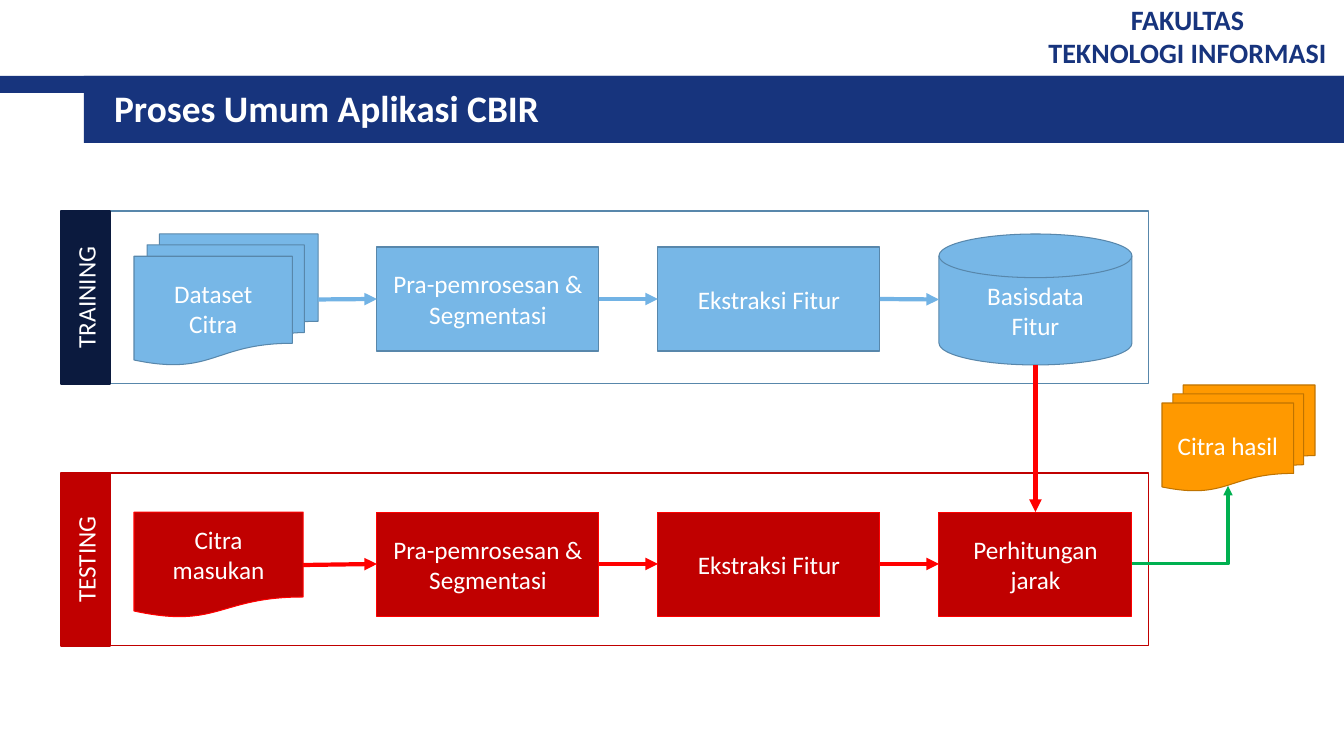
from lxml import etree
from pptx import Presentation
from pptx.dml.color import RGBColor
from pptx.enum.shapes import MSO_CONNECTOR, MSO_SHAPE
from pptx.enum.text import MSO_ANCHOR, PP_ALIGN
from pptx.oxml.ns import qn
from pptx.util import Emu, Pt

RECTANGLE = MSO_SHAPE.RECTANGLE
PROCESS = MSO_SHAPE.FLOWCHART_PROCESS
DOCUMENT = MSO_SHAPE.FLOWCHART_DOCUMENT
MULTIDOCUMENT = MSO_SHAPE.FLOWCHART_MULTIDOCUMENT
DISK = MSO_SHAPE.FLOWCHART_MAGNETIC_DISK
STRAIGHT = MSO_CONNECTOR.STRAIGHT
ELBOW = MSO_CONNECTOR.ELBOW
CENTER, LEFT = PP_ALIGN.CENTER, PP_ALIGN.LEFT
MIDDLE, BOTTOM = MSO_ANCHOR.MIDDLE, MSO_ANCHOR.BOTTOM
TOP_SIDE, LEFT_SIDE, BOTTOM_SIDE, RIGHT_SIDE = range(4)

FONT = "Calibri"
NAVY, WHITE = "17347D", "FFFFFF"
DARK_NAVY, SKY, STEEL, ARROW_BLUE = "0B1A3E", "77B7E7", "5887AB", "72B3E5"
CRIMSON, RED, GREEN = "C00000", "FF0000", "00B050"
ORANGE, BROWN = "FF9900", "BF7300"
STEP_LEFT, STEP_PITCH, STEP_WIDTH, STEP_HEIGHT = 377, 281, 222, 104
LAST_WIDTH = 193


def px(length):
    return Emu(round(length * 914400 / 100.8))


def color(value):
    return RGBColor.from_string(value)


def write(box, text, size=18, ink=WHITE, bold=False, align=CENTER,
          anchor=MIDDLE, inset=None):
    frame = box.text_frame
    frame.word_wrap = True
    frame.vertical_anchor = anchor
    if inset is not None:
        frame.margin_left = frame.margin_right = px(inset)
        frame.margin_top = frame.margin_bottom = px(inset)
    for index, line in enumerate(text.split("\n")):
        para = frame.add_paragraph() if index else frame.paragraphs[0]
        para.alignment = align
        span = para.add_run()
        span.text = line
        span.font.name = FONT
        span.font.size = Pt(size)
        span.font.bold = bold
        span.font.color.rgb = color(ink)


def add_box(page, kind, place, fill=None, outline=None, weight=0.75, text=None):
    box = page.shapes.add_shape(kind, *map(px, place))
    box.shadow.inherit = False
    if fill:
        box.fill.solid()
        box.fill.fore_color.rgb = color(fill)
    else:
        box.fill.background()
    if outline:
        box.line.color.rgb = color(outline)
        box.line.width = Pt(weight)
    else:
        box.line.fill.background()
    if text:
        write(box, text)
    return box


def side_point(box, side):
    middle_x = box.left + box.width // 2
    middle_y = box.top + box.height // 2
    return {
        TOP_SIDE: (middle_x, box.top),
        LEFT_SIDE: (box.left, middle_y),
        BOTTOM_SIDE: (middle_x, box.top + box.height),
        RIGHT_SIDE: (box.left + box.width, middle_y),
    }[side]


def add_arrow(page, kind, start, end, ink, weight):
    arrow = page.shapes.add_connector(kind, *start, *end)
    arrow.line.color.rgb = color(ink)
    arrow.line.width = Pt(weight)
    etree.SubElement(arrow.line._get_or_add_ln(), qn("a:tailEnd"), type="triangle")
    etree.SubElement(arrow._element.spPr, qn("a:effectLst"))
    return arrow


def join(page, source, target, ink, sides=(RIGHT_SIDE, LEFT_SIDE)):
    arrow = add_arrow(page, STRAIGHT, side_point(source, sides[0]),
                      side_point(target, sides[1]), ink, 3)
    if source.auto_shape_type == PROCESS:
        arrow.begin_connect(source, sides[0])
    if target.auto_shape_type == PROCESS:
        arrow.end_connect(target, sides[1])


def add_header(page):
    add_box(page, RECTANGLE, (0, 76, 1344, 17), NAVY)
    add_box(page, RECTANGLE, (84, 76, 1260, 67), NAVY)
    faculty = page.shapes.add_textbox(*map(px, (1031, 5, 313, 62)))
    write(faculty, "FAKULTAS\nTEKNOLOGI INFORMASI", size=20, ink=NAVY, bold=True)
    title = page.shapes.title
    title.left, title.top, title.width, title.height = map(px, (101, 81, 1199, 62))
    write(title, "Proses Umum Aplikasi CBIR", size=26.7, bold=True,
          align=LEFT, anchor=BOTTOM, inset=13)
    page.shapes._spTree.append(title._element)


def add_panel(page, top, name, fill, outline):
    add_box(page, RECTANGLE, (111, top, 1038, 173), outline=outline)
    label = add_box(page, RECTANGLE, (-1, top + 62, 173, 49), fill, fill, 2, name)
    label.rotation = 270


def add_flow(page, top, first, last, fill, outline, ink):
    first_kind, first_place, first_text = first
    last_kind, last_top, last_height, last_text = last
    steps = [add_box(page, first_kind, first_place, fill, outline, text=first_text)]
    for index, text in enumerate(("Pra-pemrosesan & Segmentasi", "Ekstraksi Fitur")):
        place = (STEP_LEFT + index * STEP_PITCH, top, STEP_WIDTH, STEP_HEIGHT)
        steps.append(add_box(page, PROCESS, place, fill, outline, text=text))
    place = (STEP_LEFT + 2 * STEP_PITCH, last_top, LAST_WIDTH, last_height)
    steps.append(add_box(page, last_kind, place, fill, outline, text=last_text))
    for source, target in zip(steps, steps[1:]):
        join(page, source, target, ink)
    return steps[-1]


def add_result(page, distance):
    add_box(page, MULTIDOCUMENT, (1162, 385, 153, 106), ORANGE, BROWN,
            text="Citra hasil")
    arrow = add_arrow(page, ELBOW, side_point(distance, RIGHT_SIDE),
                      (px(1228), px(486)), GREEN, 2.25)
    arrow._element.spPr.find(qn("a:prstGeom")).set("prst", "bentConnector2")


def main():
    deck = Presentation()
    deck.slide_width, deck.slide_height = px(1344), px(756)
    page = deck.slides.add_slide(deck.slide_layouts[5])
    add_header(page)
    add_panel(page, 473, "TESTING", CRIMSON, CRIMSON)
    add_panel(page, 211, "TRAINING", DARK_NAVY, STEEL)
    database = add_flow(
        page, 247, (MULTIDOCUMENT, (134, 234, 184, 131), "Dataset\nCitra"),
        (DISK, 234, 131, "Basisdata\nFitur"), SKY, STEEL, ARROW_BLUE)
    distance = add_flow(
        page, 512, (DOCUMENT, (134, 512, 169, 106), "Citra\nmasukan"),
        (PROCESS, 512, STEP_HEIGHT, "Perhitungan jarak"), CRIMSON, RED, RED)
    join(page, database, distance, RED, (BOTTOM_SIDE, TOP_SIDE))
    add_result(page, distance)
    deck.save("out.pptx")


if __name__ == "__main__":
    main()
